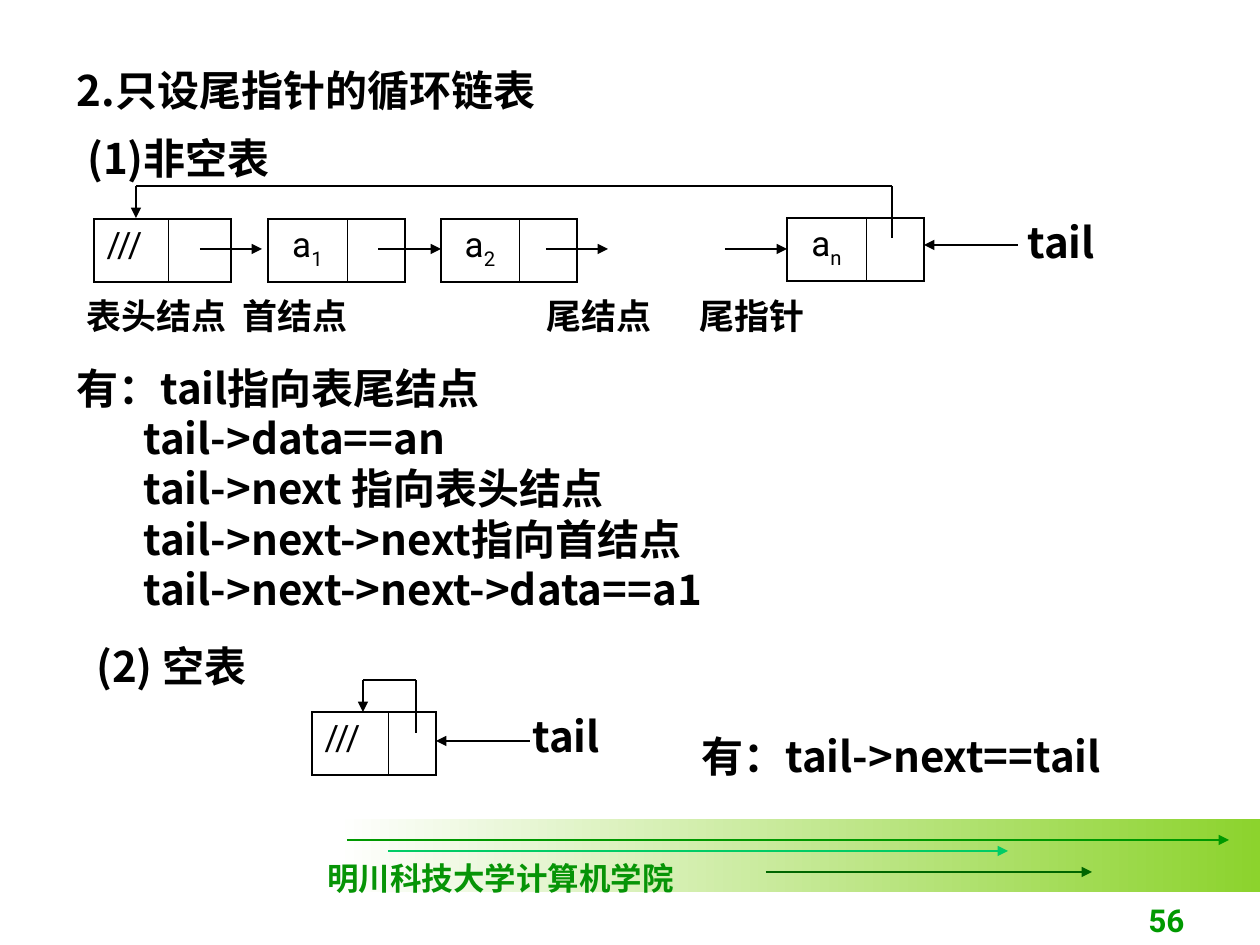
from lxml.etree import SubElement
from pptx import Presentation
from pptx.dml.color import RGBColor
from pptx.enum.shapes import MSO_CONNECTOR, MSO_SHAPE
from pptx.enum.text import MSO_ANCHOR, MSO_AUTO_SIZE, PP_ALIGN
from pptx.oxml.ns import qn
from pptx.util import Emu, Pt

BLACK = RGBColor(0, 0, 0)
WHITE = RGBColor(255, 255, 255)
LIME = RGBColor(0x8C, 0xD3, 0x2D)
GREEN = RGBColor(0, 0x99, 0)
MINT = RGBColor(0, 0xCC, 0x66)
DARK = RGBColor(0, 0x66, 0)
LEAF = RGBColor(0x06, 0x94, 0x06)
SANS, LATIN, SERIF = "Noto Sans CJK SC", "Roboto", "Times New Roman"

TITLE = "2.只设尾指针的循环链表"
CASE = "(1)非空表"
LABELS = ["表头结点", "首结点", "尾结点", "尾指针"]
STOPS = [156, 460, 613]
# text, indent in px, space before in points
FACTS = [
    ("有：tail指向表尾结点", 0, 0),
    ("tail->data==an", 67, 0),
    ("tail->next 指向表头结点", 67, 0),
    ("tail->next->next指向首结点", 67, 0),
    ("tail->next->next->data==a1", 67, 0),
    ("(2) 空表", 20, 15),
]
EMPTY = "有：tail->next==tail"
SCHOOL = "明川科技大学计算机学院"
PAGE = "56"

# left, top, data width, link width, text, subscript
NODES = [
    (94, 219, 74, 63, "///", ""),
    (268, 219, 79, 58, "a", "1"),
    (441, 219, 78, 58, "a", "2"),
    (787, 218, 79, 58, "a", "n"),
    (312, 712, 76, 48, "///", ""),
]
LINKS = [(200, 262), (378, 441), (546, 608), (725, 787)]
LINK_Y = 249
# left, right, top, arrow end, tail end
LOOPS = [(136, 892, 186, 218, 238), (363, 416, 680, 712, 733)]
# arrow start, arrow end, arrow y, text left, text top
TAILS = [(1018, 924, 245, 1015, 210), (530, 436, 741, 520, 704)]
# start, end, y, colour
STREAKS = [(347, 1229, 840, GREEN), (388, 1008, 851, MINT),
           (766, 1092, 872, DARK)]


def px(n):
    return Emu(round(n * 914400 / 126))


def style(par, size, font, color=BLACK, bold=True):
    par.line_spacing = Pt(size * 1.2)
    for run in par.runs:
        face = run.font
        face.size, face.name, face.bold = Pt(size), font, bold
        face.color.rgb = color
        if font == SANS:
            SubElement(face._element, qn("a:ea")).set("typeface", font)


def place(shape, left, top, width, height):
    shape.left, shape.top = px(left), px(top)
    shape.width, shape.height = px(width), px(height)


def write(slide, text, area, size=24, font=SANS, color=BLACK, wrap=True):
    box = slide.shapes.add_textbox(*map(px, area))
    frame = box.text_frame
    frame.word_wrap = wrap
    frame.text = text
    for par in frame.paragraphs:
        style(par, size, font, color)
    return frame


def draw(slide, start, end, color=BLACK, arrow=True):
    line = slide.shapes.add_connector(
        MSO_CONNECTOR.STRAIGHT, *map(px, start + end))
    line.line.color.rgb = color
    line.line.width = Pt(0.75)
    if arrow:
        SubElement(line.line._get_or_add_ln(), qn("a:tailEnd")).set(
            "type", "triangle")
    SubElement(line._element.spPr, qn("a:effectLst"))


def edge(cell, thin):
    """Border the cell, with a thinner line on the side named thin."""
    props = cell._tc.get_or_add_tcPr()
    for side in ("lnL", "lnR", "lnT", "lnB"):
        width = 0.45 if side == thin else 1.08
        ln = SubElement(props, qn("a:" + side), w=str(Pt(width)))
        fill = SubElement(ln, qn("a:solidFill"))
        SubElement(fill, qn("a:srgbClr"), val=str(BLACK))


def node(slide, left, top, data, link, text, sub):
    area = (left, top, data + link, 63)
    table = slide.shapes.add_table(1, 2, *map(px, area)).table
    table.first_row = table.horz_banding = False
    for col, width, thin in ((0, data, "lnR"), (1, link, "lnL")):
        table.columns[col].width = px(width)
        cell = table.cell(0, col)
        edge(cell, thin)
        cell.fill.background()
    par = table.cell(0, 0).text_frame.paragraphs[0]
    par.text = text
    if sub:
        par.alignment = PP_ALIGN.CENTER
        par.add_run().text = sub
    style(par, 20, LATIN, bold=False)
    par.line_spacing = None
    if sub:
        par.runs[1].font._element.set("baseline", "-25000")


def footer(slide):
    band = slide.shapes.add_shape(
        MSO_SHAPE.RECTANGLE, *map(px, (336, 819, 924, 73)))
    band.shadow.inherit = False
    band.line.fill.background()
    band.fill.gradient()
    band.fill.gradient_angle = 0
    for stop, color, spot in zip(
            band.fill.gradient_stops, (WHITE, LIME), (0, 1)):
        stop.color.rgb, stop.position = color, spot
    for start, end, y, color in STREAKS:
        draw(slide, (start, y), (end, y), color)
    write(slide, SCHOOL, (315, 853, 372, 50), 18, SERIF, LEAF, False)
    page = write(slide, PAGE, (935, 882, 262, 63), 18, LATIN, GREEN)
    page.vertical_anchor = MSO_ANCHOR.BOTTOM
    page.paragraphs[0].alignment = PP_ALIGN.RIGHT


def words(slide):
    title = slide.shapes.title
    place(title, 64, 58, 743, 63)
    frame = title.text_frame
    frame.text = TITLE
    frame.auto_size = MSO_AUTO_SIZE.NONE
    frame.vertical_anchor = MSO_ANCHOR.TOP
    frame.paragraphs[0].alignment = PP_ALIGN.LEFT
    style(frame.paragraphs[0], 24, SANS)

    write(slide, CASE, (75, 126, 732, 63))
    names = write(slide, "\t".join(LABELS), (74, 288, 1111, 54), 20)
    tabs = SubElement(names.paragraphs[0]._p.get_or_add_pPr(),
                      qn("a:tabLst"))
    for stop in STOPS:
        SubElement(tabs, qn("a:tab"), pos=str(px(stop)), algn="l")

    facts = write(slide, "\n".join(fact[0] for fact in FACTS),
                  (64, 356, 1131, 340))
    for par, (_, indent, gap) in zip(facts.paragraphs, FACTS):
        par.space_before = Pt(gap)
        par._p.get_or_add_pPr().set("marL", str(px(indent)))
    write(slide, EMPTY, (689, 724, 496, 63))


def lists(slide):
    for item in NODES:
        node(slide, *item)
    for start, end in LINKS:
        draw(slide, (start, LINK_Y), (end, LINK_Y))
    for left, right, top, tip, foot in LOOPS:
        draw(slide, (left, top), (right, top), arrow=False)
        draw(slide, (left, top), (left, tip))
        draw(slide, (right, top), (right, foot), arrow=False)
    for start, end, y, left, top in TAILS:
        draw(slide, (start, y), (end, y))
        write(slide, "tail", (left, top, 136, 63))


def main():
    deck = Presentation()
    deck.slide_width, deck.slide_height = px(1260), px(945)
    slide = deck.slides.add_slide(deck.slide_layouts[5])
    footer(slide)
    words(slide)
    lists(slide)
    deck.save("out.pptx")


if __name__ == "__main__":
    main()
